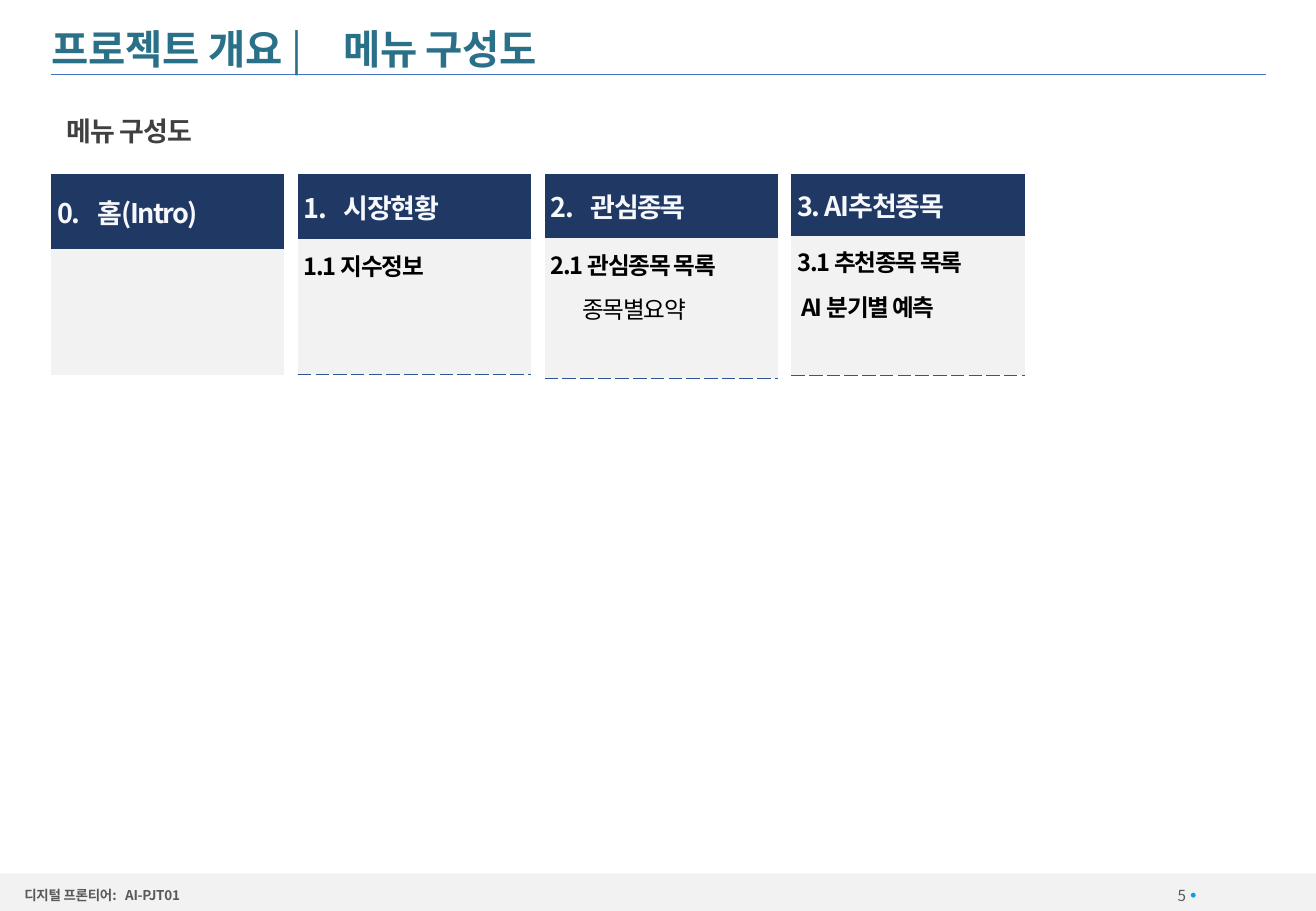
import pptx
import pptx.util
import pptx.dml.color
import pptx.enum.shapes
import pptx.enum.text
import pptx.oxml.ns
from lxml import etree

Pt = pptx.util.Pt
Inches = pptx.util.Inches
SHAPE = pptx.enum.shapes.MSO_SHAPE
ALIGN = pptx.enum.text.PP_ALIGN
ANCHOR = pptx.enum.text.MSO_ANCHOR
qn = pptx.oxml.ns.qn

COLORS = {
    "title": "2B7089", "subtitle": "404040", "footer": "595959",
    "light": "F2F2F2", "navy": "203864", "header": "F6F8FC",
    "body": "000000", "dot": "00A3DF", "rule": "4472C4", "dash": "2F5597",
}


def rgb(name):
    return pptx.dml.color.RGBColor.from_string(COLORS[name])


def add_text(p, text, font="Noto Sans CJK KR", size=14, color="body", bold=True,
             spc=0, align=None, gap=0, indent=0, tab=0):
    """Add a formatted run; gap is in points, indent and tab in inches."""
    if align is not None:
        p.alignment = align
    if gap:
        p.space_before = p.space_after = Pt(gap)
    pPr = p._p.get_or_add_pPr()
    if indent:
        pPr.set("marL", str(Inches(indent)))
        pPr.set("indent", "0")
    if tab:
        tabs = etree.SubElement(pPr, qn("a:tabLst"))
        etree.SubElement(tabs, qn("a:tab"), pos=str(Inches(tab)), algn="l")
    r = p.add_run()
    r.text = text
    r.font.name, r.font.size, r.font.bold = font, Pt(size), bold
    r.font.color.rgb = rgb(color)
    rPr = r._r.get_or_add_rPr()
    rPr.set("spc", str(round(spc * 100)))
    etree.SubElement(rPr, qn("a:ea"), typeface=font)


class Deck:
    """Slide and style; places and sizes are percentages of the slide."""

    def __init__(self, width, height):
        self.prs = pptx.Presentation()
        self.prs.slide_width, self.prs.slide_height = Inches(width), Inches(height)
        self.s = self.prs.slides.add_slide(self.prs.slide_layouts[6])

    def x(self, share):
        return round(self.prs.slide_width * share / 100)

    def y(self, share):
        return round(self.prs.slide_height * share / 100)

    def box(self, left, top, width, height):
        return self.x(left), self.y(top), self.x(width), self.y(height)

    def shape(self, kind, at, color):
        sp = self.s.shapes.add_shape(kind, *self.box(*at))
        sp.shadow.inherit = False
        sp.fill.solid()
        sp.fill.fore_color.rgb = rgb(color)
        sp.line.fill.background()

    def text(self, at, runs, inset=(0, 0), anchor=ANCHOR.TOP):
        tf = self.s.shapes.add_textbox(*self.box(*at)).text_frame
        tf.word_wrap = True
        tf.vertical_anchor = anchor
        tf.margin_left = tf.margin_right = Inches(inset[0])
        tf.margin_top = tf.margin_bottom = Inches(inset[1])
        for text, style in runs:
            add_text(tf.paragraphs[0], text, **style)

    def line(self, left, right, top, color, width):
        c = self.s.shapes.add_connector(pptx.enum.shapes.MSO_CONNECTOR.STRAIGHT,
                                        self.x(left), self.y(top), self.x(right), self.y(top))
        c.line.color.rgb = rgb(color)
        c.line.width = Pt(width)
        etree.SubElement(c._element.spPr, qn("a:effectLst"))

    def cell(self, cell, color, margin, lines, dashed=False, anchor=ANCHOR.TOP):
        cell.margin_left = cell.margin_right = Inches(0.05)
        cell.margin_top = cell.margin_bottom = Inches(margin)
        cell.vertical_anchor = anchor
        tcPr = cell._tc.get_or_add_tcPr()
        for side in ("lnL", "lnR", "lnT", "lnB"):
            ln = etree.SubElement(tcPr, qn("a:" + side), w=str(Pt(0.25)))
            if dashed and side == "lnB":
                fill = etree.SubElement(ln, qn("a:solidFill"))
                etree.SubElement(fill, qn("a:srgbClr"), val=COLORS["dash"])
                etree.SubElement(ln, qn("a:prstDash"), val="dash")
            else:
                etree.SubElement(ln, qn("a:noFill"))
        cell.fill.solid()
        cell.fill.fore_color.rgb = rgb(color)
        tf = cell.text_frame
        for i, (text, style) in enumerate(lines):
            p = tf.add_paragraph() if i else tf.paragraphs[0]
            add_text(p, text, gap=3, **style)

    def menu(self, at, rows, header, items):
        left, top, width = at
        t = self.s.shapes.add_table(2, 1, *self.box(left, top, width, sum(rows))).table
        t.first_row = t.horz_banding = False
        for row, height in zip(t.rows, rows):
            row.height = self.y(height)
        self.cell(t.cell(0, 0), "navy", 0.09, [header], anchor=ANCHOR.MIDDLE)
        self.cell(t.cell(1, 0), "light", 0.07, items, dashed=bool(items))


def main():
    d = Deck(10.83, 7.5)

    # Footer band
    d.shape(SHAPE.RECTANGLE, (0, 95.87, 100, 4.13), "light")
    d.shape(SHAPE.OVAL, (90.49, 98, 0.37, 0.53), "dot")
    d.text((83.66, 96.93, 6.46, 2.67),
           [("5", dict(size=9, color="footer", bold=False, align=ALIGN.RIGHT))],
           anchor=ANCHOR.MIDDLE)
    d.text((1.85, 97.33, 39.15, 1.73),
           [("디지털 프론티어:\tAI-PJT01", dict(size=8, color="footer", spc=-0.2, tab=0.83))])

    # Title and rule
    d.line(3.88, 96.22, 8.13, "rule", 0.5)
    title = dict(size=24, color="title", spc=-0.2)
    d.text((3.92, 2.4, 92.24, 5.87),
           [("프로젝트 개요 ", dict(title, tab=2.4)), ("|\t", dict(title, bold=False)),
            ("메뉴 구성도", title)], anchor=ANCHOR.MIDDLE)
    d.text((4.16, 11.87, 66.2, 4.93),
           [("메뉴 구성도", dict(size=16, color="subtitle", spc=-0.5))], inset=(0.1, 0.05))

    # Menu columns
    head = dict(size=16, color="header", spc=-0.8)
    tabbed = dict(head, tab=0.33)
    item = dict(spc=-0.8)
    menus = [
        ((8.27, 13.87), ("0.\t홈(Intro)", dict(tabbed, spc=-1)), []),
        ((7.2, 14.8), ("1.\t시장현황", tabbed), [("1.1 지수정보", item)]),
        ((7.07, 15.33), ("2.\t관심종목", tabbed),
         [("2.1 관심종목 목록", item), ("종목별요약", dict(item, bold=False, indent=0.26))]),
        ((6.8, 15.33), ("3. AI추천종목", head),
         [("3.1 추천종목 목록", item), ("AI 분기별 예측", dict(item, indent=0.03))]),
    ]
    for i, (rows, header, items) in enumerate(menus):
        d.menu((3.88 + 18.75 * i, 19.07, 17.73), rows, header, items)

    d.prs.save("out.pptx")


if __name__ == "__main__":
    main()
